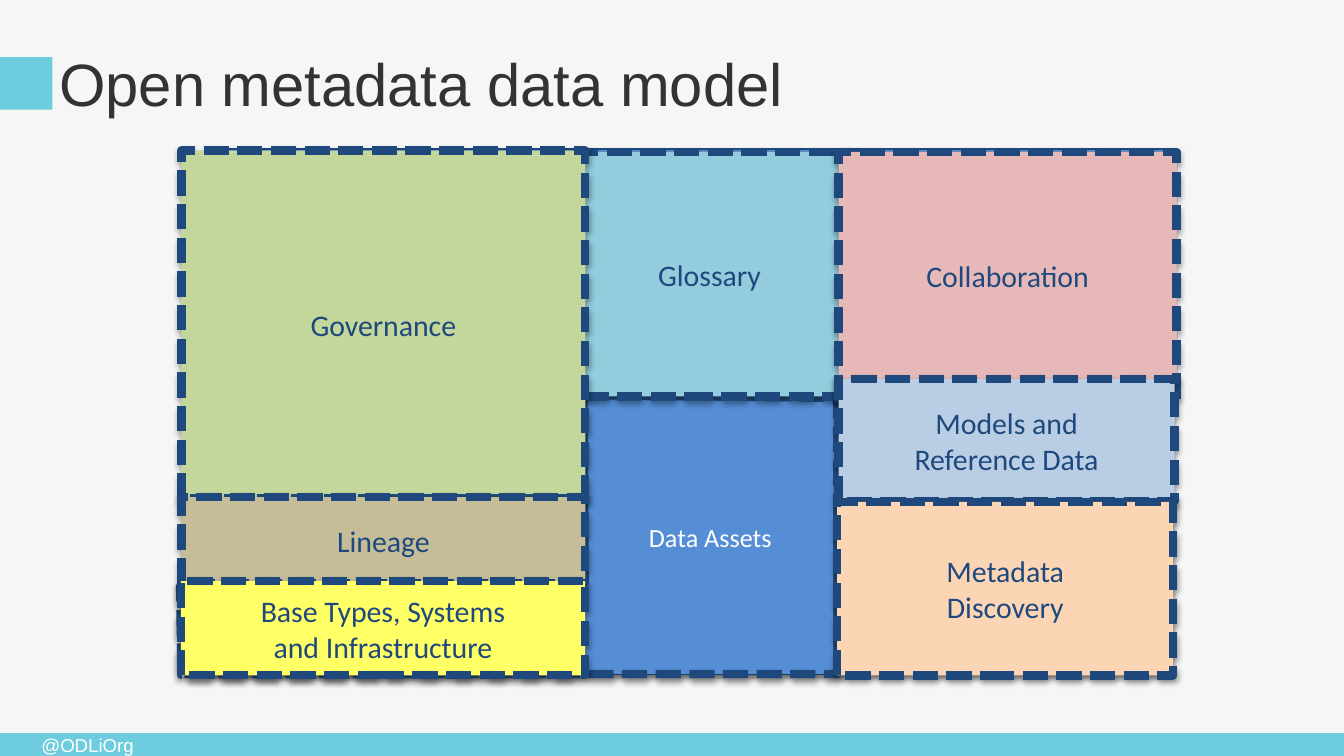
"""Build the open metadata data model slide."""
from lxml import etree
from pptx import Presentation
from pptx.dml.color import RGBColor
from pptx.enum.dml import MSO_LINE
from pptx.enum.shapes import MSO_SHAPE
from pptx.enum.text import MSO_ANCHOR, MSO_AUTO_SIZE, PP_ALIGN
from pptx.oxml import parse_xml
from pptx.oxml.ns import nsdecls, qn
from pptx.util import Pt

PX = 4572
RECTANGLE = MSO_SHAPE.RECTANGLE
DASHED = MSO_LINE.SQUARE_DOT
LEFT, CENTER = PP_ALIGN.LEFT, PP_ALIGN.CENTER
MIDDLE, TOP = MSO_ANCHOR.MIDDLE, MSO_ANCHOR.TOP
NO_AUTOFIT, GROW = MSO_AUTO_SIZE.NONE, MSO_AUTO_SIZE.SHAPE_TO_FIT_TEXT
COLORS = {
    "background": "F6F6F6", "accent": "6DCCDE", "title": "333333",
    "white": "FFFFFF", "navy": "1F497D", "assets": "558ED5",
    "glossary": "93CDDD", "collaboration": "E6B9B8", "governance": "C3D69B",
    "models": "B9CDE5", "discovery": "FCD5B5", "lineage": "C4BD97",
    "base": "FFFF66",
}


def style_area(shape, fill, width=4.5, dash=DASHED):
    shape.fill.solid()
    shape.fill.fore_color.rgb = RGBColor.from_string(COLORS[fill])
    shape.line.color.rgb = RGBColor.from_string(COLORS["navy"])
    shape.line.width = Pt(width)
    shape.line.dash_style = dash
    shape.shadow.inherit = False
    effects = shape._element.spPr.find(qn("a:effectLst"))
    shadow = parse_xml(
        f'<a:outerShdw {nsdecls("a")} blurRad="{Pt(3.1)}" dist="{Pt(1.8)}" '
        'dir="5400000" rotWithShape="0"/>')
    color = etree.SubElement(shadow, qn("a:srgbClr"), val="000000")
    etree.SubElement(color, qn("a:alpha"), val="35000")
    effects.append(shadow)


def write_lines(text_frame, lines, font_name, size, color, alignment=LEFT):
    for index, line in enumerate(lines):
        paragraph = text_frame.add_paragraph() if index else text_frame.paragraphs[0]
        paragraph.text = line
        paragraph.alignment = alignment
        paragraph.font.name = font_name
        paragraph.font.size = Pt(size)
        paragraph.font.color.rgb = RGBColor.from_string(COLORS[color])


presentation = Presentation()
presentation.slide_width = 2000 * PX
presentation.slide_height = 1125 * PX
slide = presentation.slides.add_slide(presentation.slide_layouts[5])
slide.background.fill.solid()
slide.background.fill.fore_color.rgb = RGBColor.from_string(COLORS["background"])

title = slide.shapes.title
title.left, title.top, title.width, title.height = 68 * PX, 50 * PX, 1864 * PX, 124 * PX
title_frame = title.text_frame
title_frame.auto_size = NO_AUTOFIT
title_frame.vertical_anchor = TOP
title_frame.margin_left = title_frame.margin_right = 20 * PX
title_frame.margin_top = title_frame.margin_bottom = 20 * PX
write_lines(title_frame, ["Open metadata data model"], "Arial", 32, "title")

for box in [(0, 1091, 2000, 34), (0, 85, 78, 78)]:
    accent = slide.shapes.add_shape(RECTANGLE, *[value * PX for value in box])
    accent.shadow.inherit = False
    accent.fill.solid()
    accent.fill.fore_color.rgb = RGBColor.from_string(COLORS["accent"])
    accent.line.fill.background()

backdrop = slide.shapes.add_shape(RECTANGLE, 312 * PX, 222 * PX, 1430 * PX, 782 * PX)
style_area(backdrop, "assets", 0.75, None)

builder = slide.shapes.build_freeform(870, 868, scale=PX)
builder.add_line_segments(
    [(868, 588), (1246, 592), (1246, 1003), (270, 1003), (268, 872), (600, 873)])
style_area(builder.convert_to_shape(), "assets")

areas = [
    ("glossary", (836, 226, 440, 364), ["Glossary"]),
    ("collaboration", (1248, 226, 503, 368), ["Collaboration"]),
    ("governance", (270, 224, 601, 518), ["Governance"]),
    ("models", (1248, 564, 500, 182), ["Models and", "Reference Data"]),
    ("discovery", (1246, 747, 500, 258), ["Metadata", "Discovery"]),
    ("lineage", (270, 740, 601, 128), ["Lineage"]),
    ("base", (269, 865, 602, 140), ["Base Types, Systems", "and Infrastructure"]),
]
for fill, box, lines in areas:
    area = slide.shapes.add_shape(RECTANGLE, *[value * PX for value in box])
    style_area(area, fill)
    area.text_frame.vertical_anchor = MIDDLE
    write_lines(area.text_frame, lines, "Calibri", 16, "navy", CENTER)

labels = [
    ((42, 1082, 182, 54), "@ODLiOrg", "Arial", 10),
    ((946, 766, 226, 68), "Data Assets", "Calibri", 14),
]
for box, text, font_name, size in labels:
    label = slide.shapes.add_textbox(*[value * PX for value in box])
    label.text_frame.word_wrap = False
    label.text_frame.auto_size = GROW
    write_lines(label.text_frame, [text], font_name, size, "white")

presentation.save("out.pptx")
